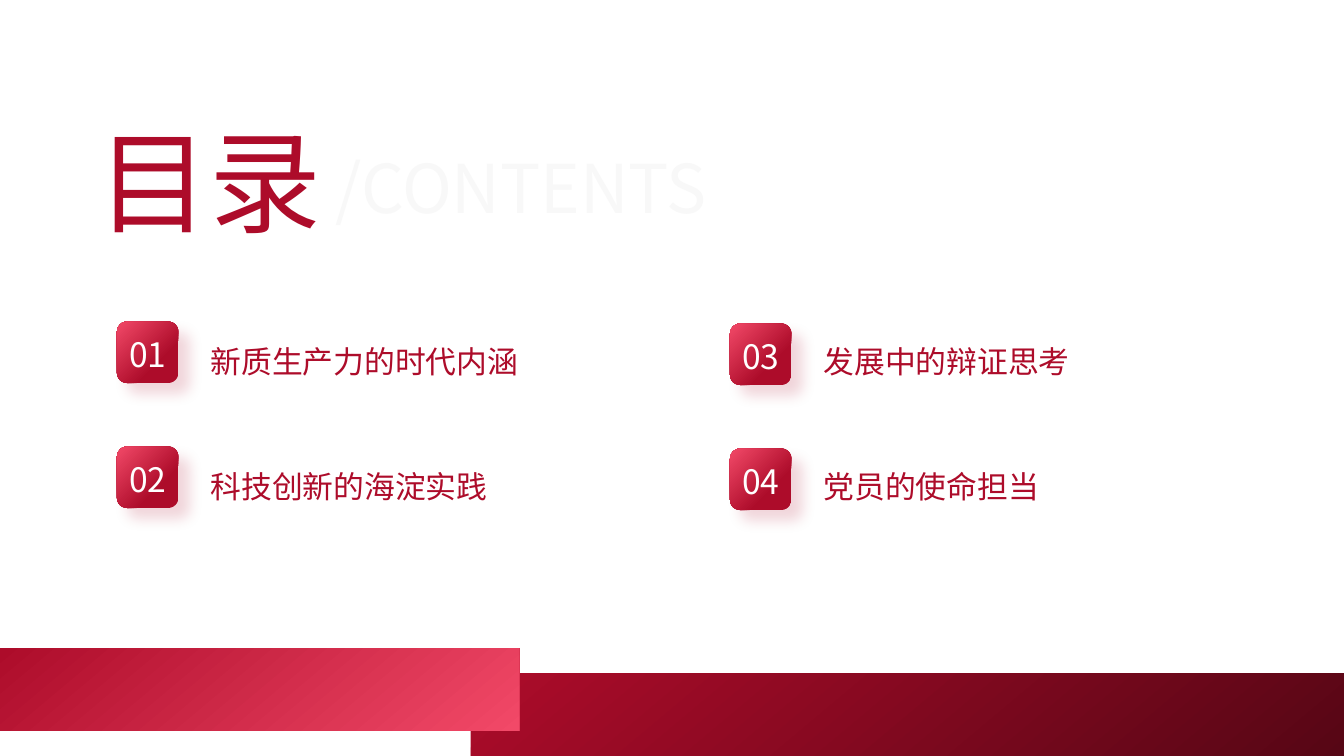
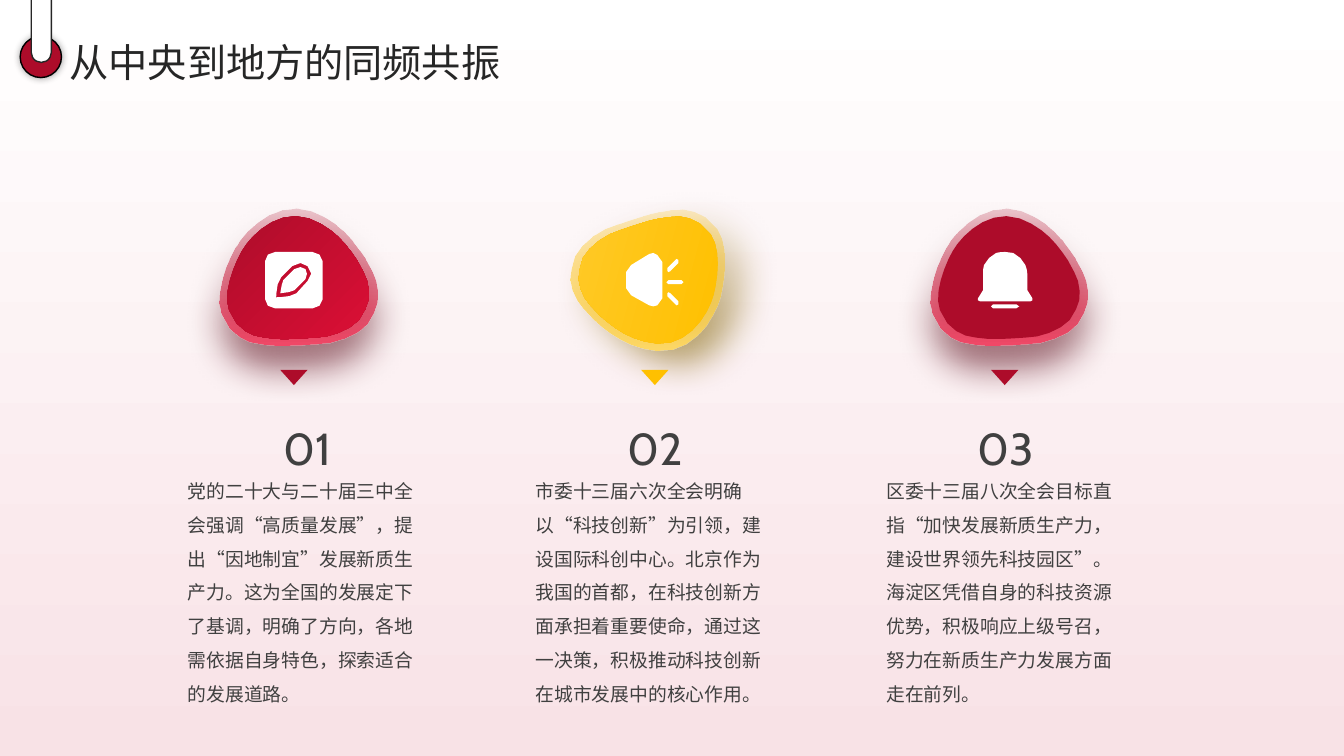
import math

import pptx
import pptx.util
import pptx.dml.color
import pptx.enum.shapes
import pptx.enum.text
import pptx.oxml
import pptx.oxml.ns
from lxml import etree

Inches, Pt = pptx.util.Inches, pptx.util.Pt
SHAPE = pptx.enum.shapes.MSO_SHAPE
ALIGN = pptx.enum.text.PP_ALIGN
ANCHOR = pptx.enum.text.MSO_ANCHOR
qn = pptx.oxml.ns.qn

RED, ROSE, WINE, GOLD = "AD0C2A", "F24968", "560615", "FFC000"
WHITE, INK, GREY, PALE = "FFFFFF", "262626", "404040", "F8F8F8"
CJK, LATIN = "Noto Sans CJK SC", "Cabin"

BLOB = ("M 69 -22 C 61 -34 52 -46 40 -55 C 33 -60 25 -65 16 -68 C -19 -80 -49 -48 -58 -32 "
        "C -67 -16 -79 15 -72 33 C -65 51 -54 57 -44 61 C -33 64 -17 65 -12 65 "
        "C -7 65 20 64 35 62 C 44 60 53 57 61 52 C 64 50 68 47 71 44 C 73 40 76 36 78 32 "
        "C 81 26 83 19 82 12 C 82 4 79 -3 76 -9 C 74 -14 71 -18 69 -22")
PENCIL = ("M -19 -28 L 18 -28 C 23 -28 28 -24 28 -19 L 28 19 C 28 24 23 28 18 28 L -19 28 "
          "C -25 28 -29 24 -29 19 L -29 -19 C -29 -24 -25 -28 -19 -28 "
          "M 6 -17 C 3 -17 0 -16 -2 -14 L -13 -3 C -18 1 -18 17 -18 17 C -18 17 -2 17 2 13 "
          "L 13 1 C 18 -3 18 -10 13 -14 C 11 -16 8 -17 6 -17 "
          "M 6 -13 C 7 -13 9 -13 11 -11 C 13 -9 13 -4 11 -1 L 0 10 C -2 11 -8 13 -14 13 "
          "C -13 7 -12 1 -11 0 L 0 -11 C 2 -13 4 -13 6 -13")
HORN = ("M -2 -27 C 0 -27 1 -26 2 -25 C 5 -24 7 -21 7 -18 L 7 18 C 7 21 5 24 2 25 "
        "C 1 26 0 26 -2 26 C -3 26 -5 26 -6 25 L -24 15 C -27 14 -29 11 -29 8 L -29 -8 "
        "C -29 -11 -27 -14 -24 -15 L -6 -26 C -5 -26 -3 -27 -2 -27 "
        "M 13 0 L 26 0 C 27 0 28 1 28 2 C 28 3 27 4 26 4 L 13 4 C 12 4 11 3 11 2 "
        "C 11 1 12 0 13 0 "
        "M 13 12 L 15 13 L 23 21 C 24 22 24 24 23 24 L 21 25 L 20 24 L 12 16 "
        "C 11 15 11 14 12 13 L 13 12 "
        "M 21 -21 L 23 -20 C 24 -20 24 -18 23 -17 L 15 -9 L 13 -8 L 12 -9 "
        "C 11 -10 11 -11 12 -12 L 20 -20 L 21 -21")
BELL = ("M 0 -28 C 3 -28 6 -28 8 -27 C 11 -25 13 -24 15 -22 C 18 -20 19 -17 20 -15 "
        "C 21 -12 22 -9 22 -6 L 22 10 L 27 18 L 27 20 L 25 21 L -25 21 L -27 20 L -27 18 "
        "L -22 10 L -22 -6 C -22 -9 -22 -12 -21 -15 C -19 -17 -18 -20 -16 -22 "
        "C -14 -24 -11 -25 -9 -27 C -6 -28 -3 -28 0 -28 "
        "M -12 24 L 11 24 C 13 24 14 25 14 26 C 14 27 13 28 11 28 L -12 28 "
        "C -13 28 -14 27 -14 26 C -14 25 -13 24 -12 24")

CHAPTERS = ["新质生产力的时代内涵", "科技创新的海淀实践", "发展中的辩证思考", "党员的使命担当"]

COLUMNS = [
    dict(x=2.92, text_x=1.79, icon=PENCIL, turn=0, rim=(RED, ROSE), accent=RED,
         core=(RED, "DB0F35"), core_angle=45, shade=WINE, shade_angle=90,
         body="党的二十大与二十届三中全会强调“高质量发展”，提出“因地制宜”发展新质生产力。"
              "这为全国的发展定下了基调，明确了方向，各地需依据自身特色，探索适合的发展道路。"),
    dict(x=6.5, text_x=5.24, icon=HORN, turn=165, rim=(GOLD, "FFD966"), accent=GOLD,
         core=(GOLD, "FFC926"), core_angle=195, shade="806000", shade_angle=30,
         body="市委十三届六次全会明确以“科技创新”为引领，建设国际科创中心。北京作为我国的首都，"
              "在科技创新方面承担着重要使命，通过这一决策，积极推动科技创新在城市发展中的核心作用。"),
    dict(x=9.97, text_x=8.72, icon=BELL, turn=0, rim=(RED, ROSE), accent=RED,
         core=(RED, RED), core_angle=45, shade=WINE, shade_angle=90,
         body="区委十三届八次全会目标直指“加快发展新质生产力，建设世界领先科技园区”。"
              "海淀区凭借自身的科技资源优势，积极响应上级号召，努力在新质生产力发展方面走在前列。"),
]


def rgb(value):
    """Turn a hex string into a colour."""
    return pptx.dml.color.RGBColor.from_string(value)


def gradient(fill, colors, angle):
    """Give a fill two gradient stops running clockwise at an angle."""
    fill.gradient()
    fill.gradient_angle = (360 - angle) % 360
    for stop, color, position in zip(fill.gradient_stops, colors, (0, 1)):
        stop.color.rgb = rgb(color)
        stop.position = position


def finish(sp, color=None, line=None):
    """Set a shape's solid fill and outline and drop its default shadow."""
    if color:
        sp.fill.solid()
        sp.fill.fore_color.rgb = rgb(color)
    if line:
        sp.line.color.rgb = rgb(line)
        sp.line.width = Pt(1)
    else:
        sp.line.fill.background()
    sp.shadow.inherit = False
    return sp


def cast_shadow(sp, color, alpha, blur, dist, angle):
    """Add an outer shadow to a finished shape."""
    effects = sp._element.spPr.find(qn("a:effectLst"))
    shadow = etree.SubElement(effects, qn("a:outerShdw"), blurRad=str(Pt(blur)),
                              dist=str(Pt(dist)), dir=str(angle * 60000),
                              algn="ctr", rotWithShape="0")
    tint = etree.SubElement(shadow, qn("a:srgbClr"), val=color)
    etree.SubElement(tint, qn("a:alpha"), val=str(alpha * 1000))


def preset(s, kind, x, y, w, h, color=None, line=None):
    """Add a preset shape in a box."""
    sp = s.shapes.add_shape(kind, Inches(x), Inches(y), Inches(w), Inches(h))
    return finish(sp, color, line)


def write(sp, text, size, color, spacing, font=CJK, align=ALIGN.LEFT,
          anchor=ANCHOR.TOP, inset=(0, 0), wrap=True):
    """Write one formatted paragraph into a shape."""
    tf = sp.text_frame
    tf.text = text
    tf.word_wrap = wrap
    tf.auto_size = pptx.enum.text.MSO_AUTO_SIZE.NONE
    tf.vertical_anchor = anchor
    tf.margin_left = tf.margin_right = Inches(inset[0])
    tf.margin_top = tf.margin_bottom = Inches(inset[1])
    p = tf.paragraphs[0]
    p.alignment = align
    p.line_spacing = spacing
    r = p.runs[0]
    r.font.size = Pt(size)
    r.font.name = font
    r.font.color.rgb = rgb(color)
    etree.SubElement(r._r.get_or_add_rPr(), qn("a:ea"), typeface=font)


def textbox(s, x, y, w, h, *args, **kwargs):
    """Add a text box and write into it."""
    write(s.shapes.add_textbox(Inches(x), Inches(y), Inches(w), Inches(h)), *args, **kwargs)


def place_title(s, x, y, w, h, *args, **kwargs):
    """Move and format the slide's title placeholder."""
    title = s.shapes.title
    title.left, title.top, title.width, title.height = map(Inches, (x, y, w, h))
    write(title, *args, **kwargs)


def contours(outline, grain):
    """Flatten an outline of M, L and C commands into points about a grain apart."""
    result = []
    for contour in outline.split("M")[1:]:
        points = []
        for command in contour.replace("L", "|").replace("C", "|").split("|"):
            n = [int(v) for v in command.split()]
            knots = list(zip(n[::2], n[1::2]))
            if len(knots) == 1:
                points += knots
                continue
            a, (b, c, d) = points[-1], knots
            steps = max(1, round(math.dist(a, d) / grain))
            for t in (i / steps for i in range(1, steps + 1)):
                u = 1 - t
                points.append(tuple(u**3 * a[k] + 3 * u * u * t * b[k] + 3 * u * t * t * c[k]
                                    + t**3 * d[k] for k in (0, 1)))
        result.append(points)
    return result


def draw(s, outline, x, y, grain, scale=1.0, turn=0, color=None):
    """Draw an outline in hundredths of an inch around a centre."""
    cos, sin = math.cos(math.radians(turn)), math.sin(math.radians(turn))

    def spot(point):
        """Map an outline point to the slide."""
        px, py = (v * scale / 100 for v in point)
        return Inches(x + px * cos - py * sin), Inches(y + px * sin + py * cos)

    builder = None
    for points in contours(outline, grain):
        first, *rest = map(spot, points)
        if builder is None:
            builder = s.shapes.build_freeform(*first, scale=1.0)
        else:
            builder.move_to(*first)
        builder.add_line_segments(rest, close=True)
    return finish(builder.convert_to_shape(), color)


def chapter(s, x, y, number, name, badge_drop):
    """Place a numbered badge and its chapter name."""
    badge = preset(s, SHAPE.ROUNDED_RECTANGLE, x, y + badge_drop, 0.61, 0.61)
    gradient(badge.fill, (ROSE, RED), 0)
    badge.fill.gradient_stops[1].position = 0.68
    lin = badge._element.spPr.find(".//" + qn("a:lin"))
    radial = etree.Element(qn("a:path"), attrib={"path": "circle"})
    etree.SubElement(radial, qn("a:fillToRect"), r="100000", b="100000")
    lin.getparent().replace(lin, radial)
    cast_shadow(badge, RED, 16, 10, 11, 45)
    write(badge, f"{number:02d}", 24, WHITE, Pt(32), align=ALIGN.CENTER, anchor=ANCHOR.MIDDLE)
    textbox(s, x + 0.93, y + 0.13, 4.34, 0.95, name, 22, RED, Pt(32))


def contents_slide(prs):
    """Build the contents slide."""
    s = prs.slides.add_slide(prs.slide_layouts[5])
    place_title(s, 0.97, 1.12, 2.22, 1.11, "目录", 79.9, RED, Pt(96), wrap=False)
    textbox(s, 3.33, 1.45, 4.2, 0.8, "/CONTENTS", 48, PALE, Pt(58), wrap=False)
    for i, name in enumerate(CHAPTERS):
        col, row = divmod(i, 2)
        chapter(s, 1.16 + 6.08 * col, 3.19 + 1.24 * row, i + 1, name, 0.02 * col)
    for x, y, w, end in ((4.67, 6.68, 8.67, WINE), (0, 6.43, 5.15, ROSE)):
        band = preset(s, SHAPE.RECTANGLE, x, y, w, 0.82)
        gradient(band.fill, (RED, end), 50)


def column(s, number, x, text_x, icon, turn, rim, accent, core, core_angle,
           shade, shade_angle, body):
    """Place one column: emblem, pointer, number and text."""
    y = 2.78
    outer = draw(s, BLOB, x, y, 12, turn=turn)
    gradient(outer.fill, rim, 90)
    tint = outer._element.spPr.find(".//" + qn("a:srgbClr"))
    etree.SubElement(tint, qn("a:alpha"), val="20000")
    cast_shadow(outer, shade, 65, 26, 16, shade_angle)
    inner = draw(s, BLOB, x, y, 12, scale=0.9, turn=turn)
    gradient(inner.fill, core, core_angle)
    draw(s, icon, x, y, 6, color=WHITE)
    pointer = preset(s, SHAPE.ISOSCELES_TRIANGLE, x - 0.14, y + 0.89, 0.27, 0.15, accent)
    pointer.rotation = 180
    textbox(s, text_x, 4.03, 2.51, 0.56, f"{number:02d}", 32, GREY, 1.5, font=LATIN,
            align=ALIGN.CENTER, anchor=ANCHOR.MIDDLE, inset=(0.07, 0.04))
    textbox(s, text_x, 4.61, 2.51, 2.03, body, 13.4, GREY, Pt(24.1), inset=(0.07, 0.04))


def hanger(s, x, y):
    """Place the ring and strap beside the title."""
    ring = preset(s, SHAPE.OVAL, x, y, 0.41, 0.41, RED, "000000")
    cast_shadow(ring, INK, 40, 5, 0, 0)
    strap = preset(s, SHAPE.ROUNDED_RECTANGLE, x + 0.11, y - 0.5, 0.2, 0.76, WHITE, INK)
    strap.adjustments[0] = 0.5


def columns_slide(prs):
    """Build the three-column slide."""
    s = prs.slides.add_slide(prs.slide_layouts[5])
    gradient(s.background.fill, (WHITE, "F8E2E6"), 90)
    place_title(s, 0.59, 0.26, 11.88, 0.56, "从中央到地方的同频共振", 28, INK, Pt(44),
                anchor=ANCHOR.MIDDLE, inset=(0.1, 0.05))
    for number, parts in enumerate(COLUMNS, 1):
        column(s, number, **parts)
    hanger(s, 0.2, 0.36)


def main():
    """Build and save the presentation."""
    prs = pptx.Presentation()
    prs.slide_width, prs.slide_height = Inches(13.33), Inches(7.5)
    contents_slide(prs)
    columns_slide(prs)
    prs.save("out.pptx")


if __name__ == "__main__":
    main()
